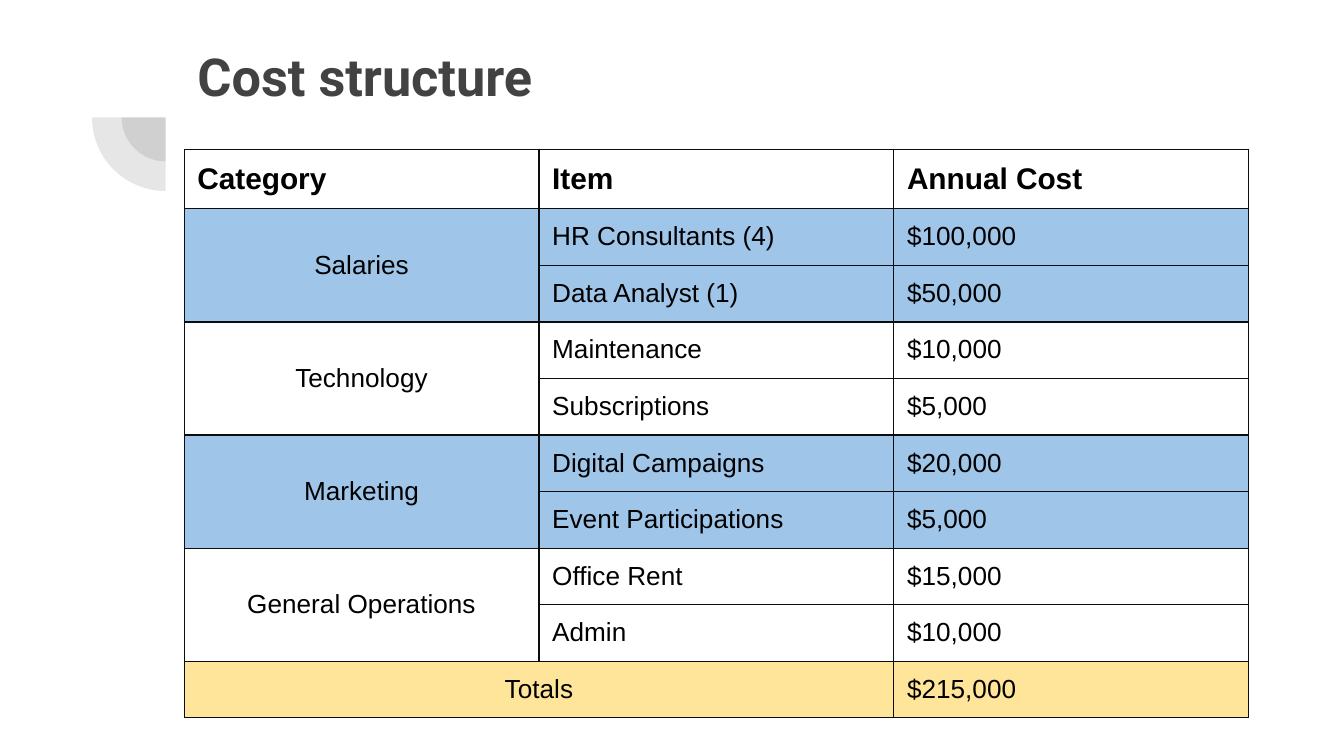
from lxml.etree import SubElement
from pptx import Presentation
from pptx.dml.color import RGBColor
from pptx.enum.shapes import MSO_SHAPE
from pptx.enum.text import MSO_ANCHOR, MSO_AUTO_SIZE, PP_ALIGN
from pptx.oxml.ns import qn
from pptx.util import Cm, Pt

COLORS = {"gray": "424242", "ink": "000000", "edge": "0D0D0D",
          "blue": "9FC5E8", "gold": "FFE599"}
INSET = {f"margin_{side}": Cm(0.25) for side in ("left", "right", "top", "bottom")}
HEAD = ["Category", "Item", "Annual Cost"]
GROUPS = [
    ("Salaries", "blue", [("HR Consultants (4)", "$100,000"),
                          ("Data Analyst (1)", "$50,000")]),
    ("Technology", None, [("Maintenance", "$10,000"),
                          ("Subscriptions", "$5,000")]),
    ("Marketing", "blue", [("Digital Campaigns", "$20,000"),
                           ("Event Participations", "$5,000")]),
    ("General Operations", None, [("Office Rent", "$15,000"),
                                  ("Admin", "$10,000")]),
]
TOTAL = ("Totals", "$215,000")


def color(name):
    return RGBColor.from_string(COLORS[name])


def apply(target, values):
    for name, value in values.items():
        setattr(target, name, value)


def write(frame, text, tint, align=PP_ALIGN.LEFT, **font):
    frame.text = text
    para = frame.paragraphs[0]
    para.alignment = align
    apply(para.runs[0].font, font)
    para.runs[0].font.color.rgb = color(tint)


def add_title(slide, left, top, width, height):
    title = slide.shapes.title
    apply(title, {"left": Cm(left), "top": Cm(top),
                  "width": Cm(width), "height": Cm(height)})
    frame = title.text_frame
    apply(frame, {**INSET, "word_wrap": True, "auto_size": MSO_AUTO_SIZE.NONE,
                  "vertical_anchor": MSO_ANCHOR.TOP})
    write(frame, "Cost structure", "gray", name="Roboto", size=Pt(28), bold=True)


def add_fan(slide, x, y, radii):
    for radius in radii:
        pie = slide.shapes.add_shape(MSO_SHAPE.PIE, Cm(x - radius), Cm(y - radius),
                                     Cm(2 * radius), Cm(2 * radius))
        pie.adjustments[0], pie.adjustments[1] = 108, 162
        pie.rotation = 270
        pie.shadow.inherit = False
        pie.line.fill.background()
        pie.fill.solid()
        pie.fill.fore_color.rgb = color("gray")
        shade = pie.fill._xPr.find(f".//{qn('a:srgbClr')}")
        SubElement(shade, qn("a:alpha"), val="13000")


def style_cell(cell, fill):
    apply(cell, INSET)
    props = cell._tc.get_or_add_tcPr()
    for side in ("lnL", "lnR", "lnT", "lnB"):
        line = SubElement(props, qn(f"a:{side}"), w=str(Pt(0.75)))
        solid = SubElement(line, qn("a:solidFill"))
        SubElement(solid, qn("a:srgbClr"), val=COLORS["edge"])
    if fill:
        cell.fill.solid()
        cell.fill.fore_color.rgb = color(fill)
    else:
        cell.fill.background()


def put(cell, text, size=14, bold=False, middle=False):
    if middle:
        cell.vertical_anchor = MSO_ANCHOR.MIDDLE
    write(cell.text_frame, text, "ink", PP_ALIGN.CENTER if middle else PP_ALIGN.LEFT,
          name="Arial", size=Pt(size), bold=bold)


def add_costs(slide, left, top, width, height):
    fills = [None, *(fill for _, fill, items in GROUPS for _ in items), "gold"]
    count = len(fills)
    table = slide.shapes.add_table(count, len(HEAD), Cm(left), Cm(top),
                                   Cm(width), Cm(height)).table
    apply(table, {"first_row": False, "horz_banding": False})
    for row, fill in zip(table.rows, fills):
        row.height = Cm(height / count)
        for cell in row.cells:
            style_cell(cell, fill)
    for col, text in enumerate(HEAD):
        put(table.cell(0, col), text, 16, True)
    start = 1
    for label, _, items in GROUPS:
        table.cell(start, 0).merge(table.cell(start + len(items) - 1, 0))
        put(table.cell(start, 0), label, middle=True)
        for row, (item, cost) in enumerate(items, start):
            put(table.cell(row, 1), item)
            put(table.cell(row, 2), cost)
        start += len(items)
    table.cell(start, 0).merge(table.cell(start, 1))
    put(table.cell(start, 0), TOTAL[0], middle=True)
    put(table.cell(start, 2), TOTAL[1])


def main():
    deck = Presentation()
    apply(deck, {"slide_width": Cm(25.4), "slide_height": Cm(14.29)})
    slide = deck.slides.add_slide(deck.slide_layouts[5])
    add_fan(slide, 3.13, 2.22, (0.83, 1.39))
    add_title(slide, 3.48, 0.58, 19.53, 2.77)
    add_costs(slide, 3.48, 2.82, 20.12, 10.7)
    deck.save("out.pptx")


if __name__ == "__main__":
    main()
